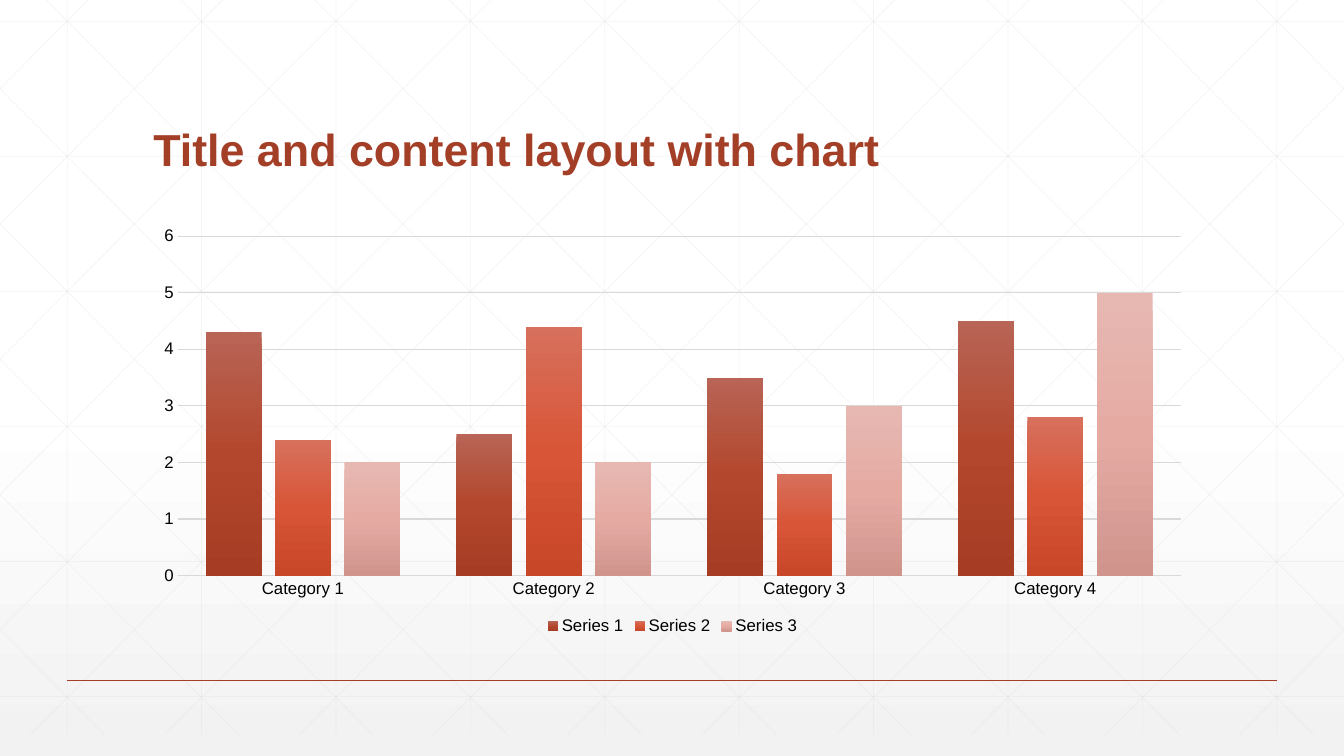
from dataclasses import dataclass

from lxml.etree import SubElement
from pptx import Presentation
from pptx.chart.data import CategoryChartData
from pptx.dml.color import RGBColor as Color
from pptx.enum.chart import XL_CHART_TYPE as ChartType
from pptx.enum.chart import XL_LEGEND_POSITION as LegendPosition
from pptx.enum.chart import XL_TICK_MARK as TickMark
from pptx.enum.shapes import MSO_CONNECTOR as Connector
from pptx.enum.text import MSO_ANCHOR as Anchor
from pptx.enum.text import PP_ALIGN as Align
from pptx.oxml.ns import qn
from pptx.util import Inches, Pt


@dataclass(frozen=True)
class Theme:
    font: str = "Arial"
    accent: str = "A43F27"
    rule: str = "D9D9D9"
    label: str = "000000"
    title_size: int = 32
    label_size: int = 12
    backdrop: tuple = ((0, "FFFFFF", 100), (53, "FFFFFF", 100), (100, "F2F2F2", 65))
    columns: tuple = (
        ((0, "B86456", 100), (50, "B3472D", 100), (100, "A53C23", 100)),
        ((0, "D7705D", 100), (50, "D85537", 100), (100, "C84728", 100)),
        ((0, "E7B8B2", 100), (50, "E5ABA3", 100), (100, "D0948D", 100)),
    )


def paint_gradient(fill, root, stops):
    """Fill top to bottom with (position, colour, opacity) stops, in percent.

    The fill must be the last gradient inside the root element.
    """
    fill.gradient()
    fill.gradient_angle = 270
    stop_list = list(root.iter(qn("a:gsLst")))[-1]
    for old_stop in list(stop_list):
        stop_list.remove(old_stop)
    for position, colour, opacity in stops:
        stop = SubElement(stop_list, qn("a:gs"), pos=str(position * 1000))
        tint = SubElement(stop, qn("a:srgbClr"), val=colour)
        if opacity < 100:
            SubElement(tint, qn("a:alpha"), val=str(opacity * 1000))


def draw_line(shapes, start, end, colour, width, opacity=100):
    line = shapes.add_connector(
        Connector.STRAIGHT, *(Inches(length) for length in (*start, *end)))
    line.line.color.rgb = Color.from_string(colour)
    line.line.width = Pt(width)
    SubElement(line.element.spPr, qn("a:effectLst"))
    if opacity < 100:
        tint = next(line.element.spPr.iter(qn("a:srgbClr")))
        SubElement(tint, qn("a:alpha"), val=str(opacity * 1000))


theme = Theme()
WIDTH, HEIGHT = 13.33, 7.5
deck = Presentation()
deck.slide_width, deck.slide_height = Inches(WIDTH), Inches(HEIGHT)
page = deck.slides.add_slide(deck.slide_layouts[5])
paint_gradient(page.background.fill, page.element, theme.backdrop)

# Lattice: verticals, horizontals and mirrored diagonals clipped at the sides
PITCH = WIDTH / 10
TOP, BOTTOM = -0.21, 7.29
DIAGONAL_RUN = 7.45
SLOPE = (BOTTOM - TOP) / DIAGONAL_RUN
segments = []
for column in range(10):
    x = PITCH * (column + 0.5)
    segments.append(((x, TOP), (x, BOTTOM)))
for row in range(6):
    y = 0.21 + 1.34 * row
    segments.append(((0, y), (WIDTH, y)))
for step in range(-5, 10):
    origin = 0.25 + PITCH * step
    left, right = max(origin, 0), min(origin + DIAGONAL_RUN, WIDTH)
    upper, lower = (TOP + (x - origin) * SLOPE for x in (left, right))
    segments.append(((left, upper), (right, lower)))
    segments.append(((WIDTH - left, upper), (WIDTH - right, lower)))

lattice = page.shapes.add_group_shape()
for start, end in segments:
    draw_line(lattice.shapes, start, end, theme.rule, 0.5, opacity=25)

MARGIN = PITCH / 2
draw_line(page.shapes, (MARGIN, HEIGHT * 0.9), (WIDTH - MARGIN, HEIGHT * 0.9),
          theme.accent, 1)

# Title, in front of the lattice
BODY_LEFT, BODY_WIDTH = Inches(1.42), Inches(10.5)
title = page.shapes.title
title.left, title.top = BODY_LEFT, Inches(0.55)
title.width, title.height = BODY_WIDTH, Inches(1.25)
title.element.addprevious(lattice.element)
title.text_frame.text = "Title and content layout with chart"
title.text_frame.vertical_anchor = Anchor.BOTTOM
para = title.text_frame.paragraphs[0]
para.alignment = Align.LEFT
para.line_spacing = 0.9
para.font.name = theme.font
para.font.size = Pt(theme.title_size)
para.font.bold = True
para.font.color.rgb = Color.from_string(theme.accent)

# Column chart
data = CategoryChartData()
data.categories = [f"Category {number}" for number in range(1, 5)]
data.add_series("Series 1", (4.3, 2.5, 3.5, 4.5))
data.add_series("Series 2", (2.4, 4.4, 1.8, 2.8))
data.add_series("Series 3", (2, 2, 3, 5))
chart = page.shapes.add_chart(
    ChartType.COLUMN_CLUSTERED, BODY_LEFT, Inches(2.17),
    BODY_WIDTH, Inches(4.17), data).chart
chart.has_title = False
chart.has_legend = True
chart.legend.position = LegendPosition.BOTTOM
chart.legend.include_in_layout = False

plot = chart.plots[0]
plot.gap_width, plot.overlap = 100, -24
plot.vary_by_categories = False
for series, stops in zip(plot.series, theme.columns):
    paint_gradient(series.format.fill, chart.element, stops)

category_axis, value_axis = chart.category_axis, chart.value_axis
value_axis.minimum_scale, value_axis.maximum_scale = 0, 6
value_axis.major_unit = 1
value_axis.has_major_gridlines = True
value_axis.format.line.fill.background()
for axis in (category_axis, value_axis):
    axis.major_tick_mark = axis.minor_tick_mark = TickMark.NONE
for rule in (category_axis.format.line, value_axis.major_gridlines.format.line):
    rule.color.rgb = Color.from_string(theme.rule)
    rule.width = Pt(0.75)
for font in (chart.font, chart.legend.font,
             category_axis.tick_labels.font, value_axis.tick_labels.font):
    font.name = theme.font
    font.size = Pt(theme.label_size)
    font.color.rgb = Color.from_string(theme.label)

deck.save("out.pptx")
